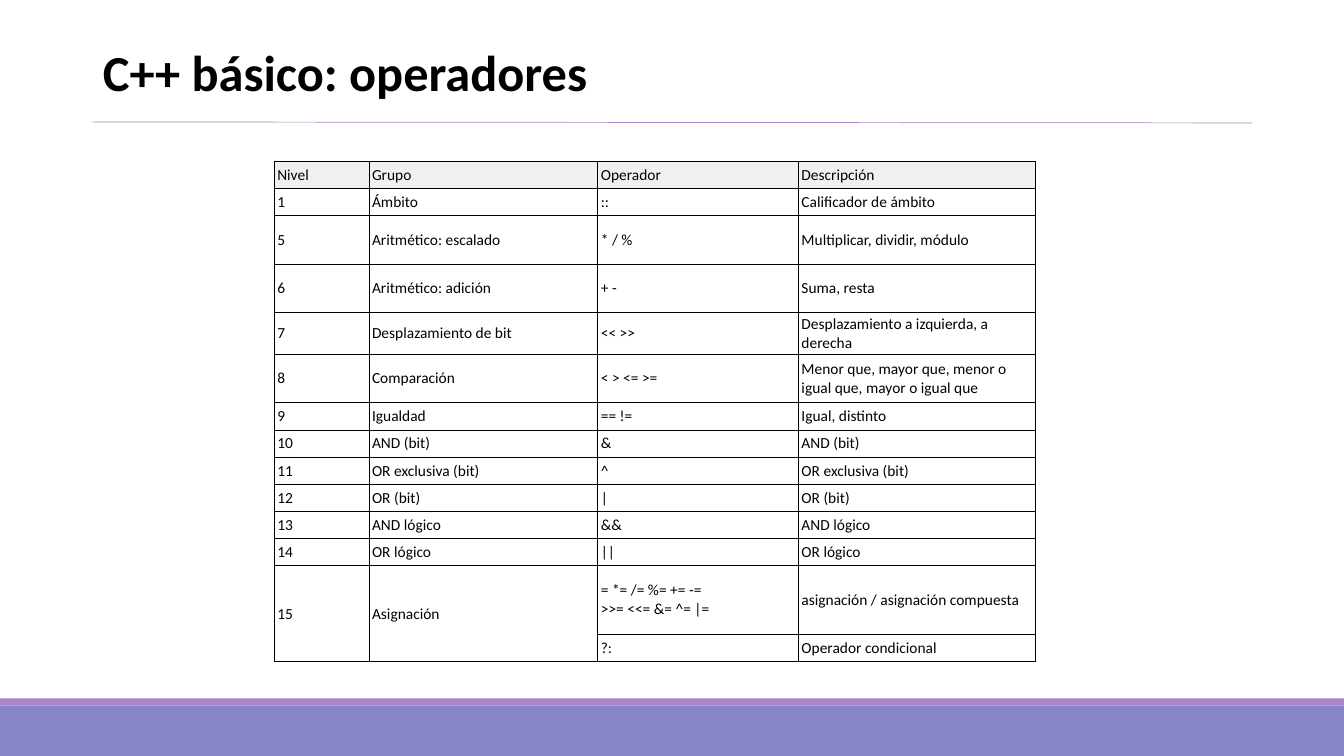
"""Builds the slide on basic C++ operators."""
from dataclasses import dataclass

from lxml import etree
from pptx import Presentation
from pptx import util as u
from pptx.dml.color import RGBColor
from pptx.enum import shapes, text
from pptx.oxml import ns


@dataclass(frozen=True)
class Theme:
    """Colours, font and type sizes of the slide."""
    font: str = "Calibri"
    ink: str = "000000"
    paper: str = "FFFFFF"
    header: str = "F0F0F0"
    accent: str = "AD84C6"
    footer: str = "8784C7"
    title_size: int = 36
    table_size: int = 11
    border: float = 0.75
    rule: float = 0.5


class SlideBuilder:
    """Adds styled elements to one slide."""

    def __init__(self, page, theme):
        """Keep the page and its theme."""
        self.page = page
        self.theme = theme

    def style(self, para, size, bold=False):
        """Format every run of a paragraph."""
        for span in para.runs:
            span.font.name = self.theme.font
            span.font.size = u.Pt(size)
            span.font.bold = bold
            span.font.color.rgb = RGBColor.from_string(self.theme.ink)

    def bar(self, top, height, color):
        """Draw a full-width band."""
        band = self.page.shapes.add_shape(
            shapes.MSO_SHAPE.RECTANGLE, 0, u.Inches(top), u.Inches(13.33), u.Inches(height))
        band.shadow.inherit = False
        band.fill.solid()
        band.fill.fore_color.rgb = RGBColor.from_string(color)
        band.line.fill.background()

    def rule(self, start, end):
        """Draw a thin line between two points."""
        line = self.page.shapes.add_connector(
            shapes.MSO_CONNECTOR.STRAIGHT, *map(u.Inches, start + end))
        line.line.color.rgb = RGBColor.from_string(self.theme.accent)
        line.line.width = u.Pt(self.theme.rule)
        etree.SubElement(line._element.spPr, ns.qn("a:effectLst"))

    def title(self, wording, left, top, width, height):
        """Fill and place the title placeholder."""
        box = self.page.shapes.title
        box.left, box.top, box.width, box.height = map(u.Inches, (left, top, width, height))
        frame = box.text_frame
        frame.text = wording
        frame.word_wrap = True
        frame.auto_size = text.MSO_AUTO_SIZE.NONE
        frame.vertical_anchor = text.MSO_ANCHOR.MIDDLE
        para = frame.paragraphs[0]
        para.alignment = text.PP_ALIGN.LEFT
        para.line_spacing = 0.9
        self.style(para, self.theme.title_size, bold=True)

    def outline(self, cell):
        """Give a cell a solid border on all sides."""
        properties = cell._tc.get_or_add_tcPr()
        for side in ("lnL", "lnR", "lnT", "lnB"):
            edge = etree.SubElement(
                properties, ns.qn(f"a:{side}"), w=str(u.Pt(self.theme.border)))
            fill = etree.SubElement(edge, ns.qn("a:solidFill"))
            etree.SubElement(fill, ns.qn("a:srgbClr"), val=self.theme.ink)

    def cell(self, cell, wording, color):
        """Write and style one table cell."""
        cell.margin_left = cell.margin_right = u.Inches(0.03)
        cell.margin_top = cell.margin_bottom = u.Inches(0.02)
        cell.vertical_anchor = text.MSO_ANCHOR.MIDDLE
        self.outline(cell)
        cell.fill.solid()
        cell.fill.fore_color.rgb = RGBColor.from_string(color)
        para = cell.text_frame.paragraphs[0]
        para.text = wording
        para.font.size = u.Pt(self.theme.table_size)
        self.style(para, self.theme.table_size)

    def table(self, rows, left, top, widths, heights):
        """Draw a bordered table with a shaded header row."""
        table = self.page.shapes.add_table(
            len(rows), len(widths), u.Inches(left), u.Inches(top),
            u.Inches(sum(widths)), u.Inches(sum(heights))).table
        table.horz_banding = False
        table.first_row = False
        for column, width in zip(table.columns, widths):
            column.width = u.Inches(width)
        for number, (row, height) in enumerate(zip(rows, heights)):
            table.rows[number].height = u.Inches(height)
            color = self.theme.paper if number else self.theme.header
            for position, wording in enumerate(row):
                self.cell(table.cell(number, position), wording, color)
        return table


OPERATORS = [
    ("Nivel", "Grupo", "Operador", "Descripción"),
    ("1", "Ámbito", "::", "Calificador de ámbito"),
    ("5", "Aritmético: escalado", "* / %", "Multiplicar, dividir, módulo"),
    ("6", "Aritmético: adición", "+ -", "Suma, resta"),
    ("7", "Desplazamiento de bit", "<< >>", "Desplazamiento a izquierda, a derecha"),
    ("8", "Comparación", "< > <= >=",
     "Menor que, mayor que, menor o igual que, mayor o igual que"),
    ("9", "Igualdad", "== !=", "Igual, distinto"),
    ("10", "AND (bit)", "&", "AND (bit)"),
    ("11", "OR exclusiva (bit)", "^", "OR exclusiva (bit)"),
    ("12", "OR (bit)", "|", "OR (bit)"),
    ("13", "AND lógico", "&&", "AND lógico"),
    ("14", "OR lógico", "||", "OR lógico"),
    ("15", "Asignación", "= *= /= %= += -=\n>>= <<= &= ^= |=",
     "asignación / asignación compuesta"),
    ("", "", "?:", "Operador condicional"),
]
TALL_ROWS = {2: 0.48, 3: 0.48, 4: 0.4, 5: 0.48, 12: 0.68}


def main():
    """Build and save the deck."""
    deck = Presentation()
    deck.slide_width, deck.slide_height = u.Inches(13.33), u.Inches(7.5)
    theme = Theme()
    slide = SlideBuilder(deck.slides.add_slide(deck.slide_layouts[5]), theme)
    slide.bar(7, 0.5, theme.footer)
    slide.bar(6.93, 0.07, theme.accent)
    slide.rule((0.92, 1.21), (12.42, 1.22))
    slide.title("C++ básico: operadores", 0.92, 0.4, 11.5, 0.69)
    heights = [TALL_ROWS.get(number, 0.27) for number in range(len(OPERATORS))]
    table = slide.table(OPERATORS, 2.72, 1.6, (0.94, 2.27, 1.99, 2.35), heights)
    for column in (0, 1):
        table.cell(12, column).merge(table.cell(13, column))
    deck.save("out.pptx")


if __name__ == "__main__":
    main()
